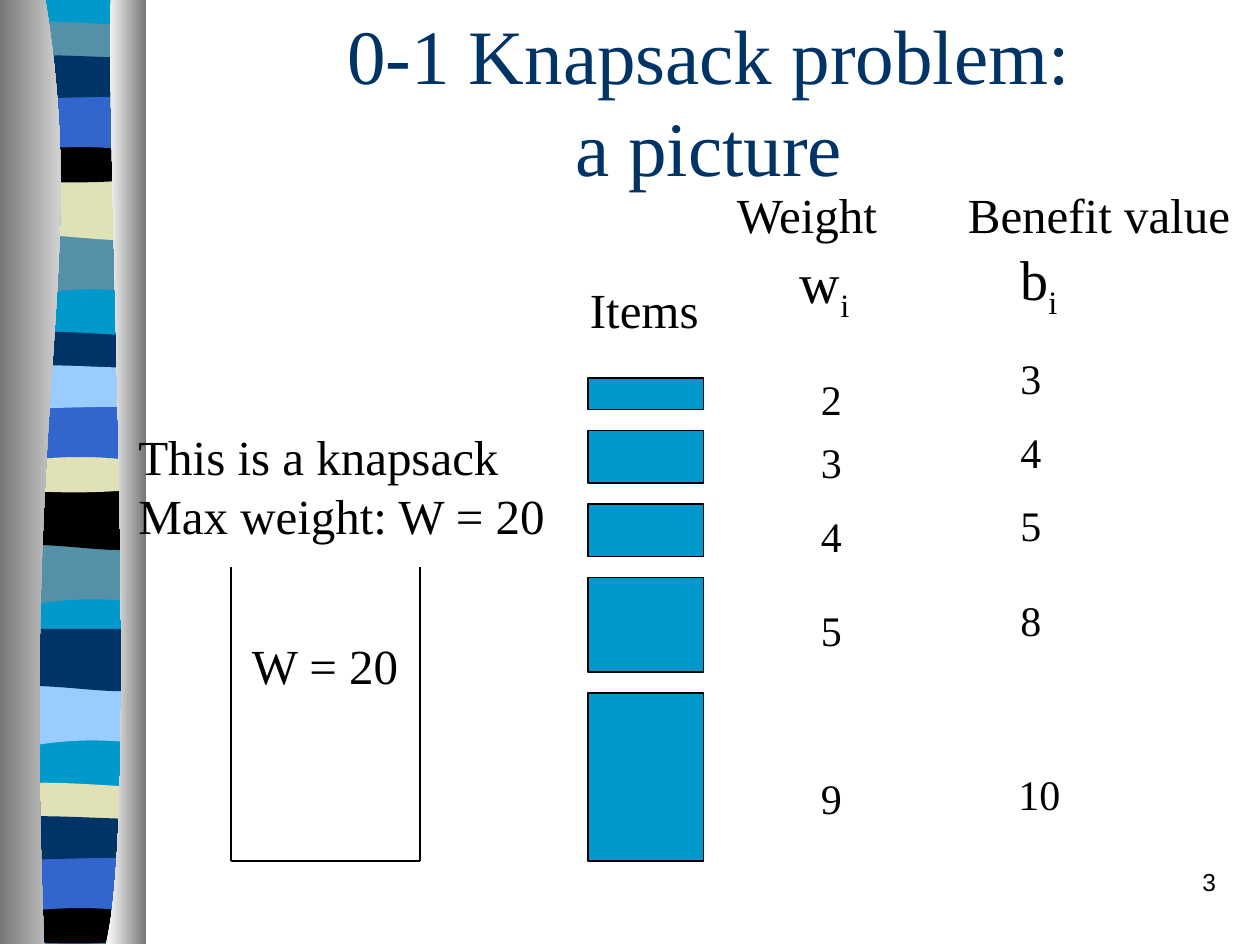
from dataclasses import dataclass

from pptx import Presentation
from pptx.dml.color import RGBColor as RGB
from pptx.enum.shapes import MSO_CONNECTOR as CONNECTOR, MSO_SHAPE as SHAPE
from pptx.enum.text import MSO_ANCHOR as ANCHOR, MSO_AUTO_SIZE as AUTO, PP_ALIGN as ALIGN
from pptx.oxml.ns import qn
from pptx.util import Inches, Pt


@dataclass(frozen=True)
class Theme:
    serif: str = "Times New Roman"
    sans: str = "Arial"
    ink: str = "000000"
    navy: str = "003366"
    cyan: str = "0099CC"
    teal: str = "5490A8"
    blue: str = "3366CC"
    sand: str = "E1E1B7"
    sky: str = "99CCFF"
    white: str = "FFFFFF"
    grey: str = "767676"
    title: int = 44
    symbol: int = 32
    label: int = 28
    value: int = 24
    number: int = 14


theme = Theme()
prs = Presentation()
prs.slide_width, prs.slide_height = Inches(10), Inches(7.5)
slide = prs.slides.add_slide(prs.slide_layouts[5])
shapes = slide.shapes
UNIT = prs.slide_width // 120  # the slide is a grid of 120 columns by 90 rows


def outline(*edges):
    """Draw a closed shape; an edge of four points (in inches) is a Bezier curve."""
    points = [(Inches(x), Inches(y)) for edge in edges for x, y in edge]
    builder = shapes.build_freeform(*points[0], scale=1.0)
    builder.add_line_segments(points[1:], close=True)
    shape = builder.convert_to_shape()
    shape.shadow.inherit = False
    shape.line.fill.background()
    nodes = list(next(shape._element.iter(qn("a:path"))))
    first = 0
    for edge in edges:
        if len(edge) == 4:
            curve = nodes[first].makeelement(qn("a:cubicBezTo"), {})
            nodes[first].addnext(curve)
            for node in nodes[first + 1:first + 4]:
                curve.append(node[0])
                node.getparent().remove(node)
        first += len(edge)
    return shape


def write(column, row, width, height, text, size, subscript="", font=theme.serif,
          align=ALIGN.LEFT, wrap=False):
    """Add a text box placed on the grid, one paragraph per line of text."""
    box = shapes.add_textbox(*(round(n * UNIT) for n in (column, row, width, height)))
    frame = box.text_frame
    frame.text = text
    frame.word_wrap = wrap
    frame.auto_size = AUTO.NONE if wrap else AUTO.SHAPE_TO_FIT_TEXT
    if subscript:
        index = frame.paragraphs[0].add_run()
        index.text = subscript
        index._r.get_or_add_rPr().set("baseline", "-25000")
    for paragraph in frame.paragraphs:
        paragraph.alignment = align
        paragraph.font.name, paragraph.font.size = font, Pt(size)
        paragraph.font.color.rgb = RGB.from_string(theme.ink)


# Ribbon: a cyan backdrop, then wavy bands that repeat down the slide
LEFT, RIGHT, BOTTOM = 0.05, 1.13, 7.49
flat = [(LEFT, 0), (RIGHT, 0)]
crest = [(LEFT, 0), (0.2, -0.06), (0.5, -0.04), (RIGHT, 0)]
ledge = [(LEFT, 0), (0.2, -0.05), (0.78, 0), (RIGHT, 0)]
ripple = [(LEFT, 0), (0.2, 0.03), (0.6, -0.01), (RIGHT, 0)]
arch = [(LEFT, 0), (0.3, -0.06), (0.9, -0.08), (RIGHT, 0)]
sag = [(LEFT, 0), (0.23, 0.05), (0.95, 0.05), (RIGHT, 0)]
sink = [(LEFT, 0), (0.38, -0.06), (0.95, 0.08), (RIGHT, 0)]
swell = [(LEFT, 0), (0.23, 0.08), (0.38, -0.08), (RIGHT, 0)]
upper_bands = [(1.85, flat, 2.32, swell), (1.41, flat, 1.88, sink)]
lower_bands = [(0.21, crest, 0.45, sag), (1.08, flat, 1.41, sag),
               (0.74, flat, 1.22, arch), (0.46, ledge, 0.77, ripple)]
repeats = [
    (0, upper_bands + lower_bands,
     [theme.teal, theme.sand, theme.teal, theme.ink, theme.blue, theme.navy]),
    (2.46, upper_bands + lower_bands,
     [theme.teal, theme.ink, theme.navy, theme.sand, theme.blue, theme.sky]),
    (3.58, upper_bands, [theme.sky, theme.navy]),
    (6.04, lower_bands, [theme.sand, theme.ink, theme.blue, theme.navy]),
]
bands = [(0, flat, BOTTOM, flat, theme.cyan)]
for shift, group, colors in repeats:
    bands += [(top + shift, upper, end + shift, lower, color)
              for (top, upper, end, lower), color in zip(group, colors)]
for top, upper, end, lower, color in bands:
    band = outline([(x, top + y) for x, y in upper],
                   [(x, end + y) for x, y in reversed(lower)])
    band.fill.solid()
    band.fill.fore_color.rgb = RGB.from_string(color)

# Shaded curtains on both sides of the ribbon
left_edge = [(0.36, 0), (0.71, 2.16), (0.17, 2.96), (0.35, BOTTOM)]
right_edge = [(0.88, 0), (0.84, 1.25), (1.11, 6.46), (0.84, BOTTOM)]
for edge, side, start, end in [(left_edge, 0, theme.grey, theme.white),
                               (right_edge, 1.16, theme.white, theme.grey)]:
    curtain = outline(edge, [(side, BOTTOM), (side, 0)])
    curtain.fill.gradient()
    curtain.fill.gradient_angle = 0
    for stop, color, position in zip(curtain.fill.gradient_stops, (start, end), (0, 1)):
        stop.color.rgb = RGB.from_string(color)
        stop.position = position

# Title
title = shapes.title
title.left, title.top, title.width, title.height = (n * UNIT for n in (15, 2, 105, 15))
title.text_frame.text = "0-1 Knapsack problem:\va picture"
title.text_frame.vertical_anchor = ANCHOR.MIDDLE
title.text_frame.auto_size = AUTO.NONE
heading = title.text_frame.paragraphs[0]
heading.alignment = ALIGN.CENTER
heading.font.name, heading.font.size = theme.serif, Pt(theme.title)
heading.font.color.rgb = RGB.from_string(theme.navy)

# Knapsack: an open box
corners = [(22, 54), (22, 82), (40, 82), (40, 54)]
for start, end in zip(corners, corners[1:]):
    wall = shapes.add_connector(CONNECTOR.STRAIGHT, *(n * UNIT for n in start + end))
    wall.line.color.rgb = RGB.from_string(theme.ink)
    wall.line.width = Pt(0.75)
    properties = wall._element.spPr
    properties.append(properties.makeelement(qn("a:effectLst"), {}))
write(22.8, 59.9, 16.5, 6.8, "W = 20", theme.label)
write(12, 40, 41.4, 12.5, "This is a knapsack\nMax weight: W = 20", theme.label)

# Column headings
write(55, 26, 12.9, 6.8, "Items", theme.label)
write(69, 17, 16.2, 6.8, "Weight", theme.label)
write(91, 17, 27.5, 6.8, "Benefit value", theme.label)
write(75, 23, 7.2, 8.5, "w", theme.symbol, subscript="i", wrap=True)
write(96, 22.7, 7.2, 8.5, "b", theme.symbol, subscript="i", wrap=True)

# Items: block height, weight and its row, benefit with its column and row
GAP = 2
block_row = 36
for height, weight, weight_row, benefit, benefit_column, benefit_row in [
        (3, "2", 35, "3", 96, 33), (5, "3", 41, "4", 96, 40), (5, "4", 48, "5", 96, 47),
        (9, "5", 57, "8", 96, 56), (16, "9", 73, "10", 95.8, 72.6)]:
    block = shapes.add_shape(SHAPE.RECTANGLE, *(n * UNIT for n in (56, block_row, 11, height)))
    block.shadow.inherit = False
    block.fill.solid()
    block.fill.fore_color.rgb = RGB.from_string(theme.cyan)
    block.line.color.rgb = RGB.from_string(theme.ink)
    block.line.width = Pt(0.75)
    write(77, weight_row, 4.4, 6, weight, theme.value)
    write(benefit_column, benefit_row, 2.4 + 2 * len(benefit), 6, benefit, theme.value)
    block_row += height + GAP

# Slide number
write(92, 82, 25, 6, "3", theme.number, font=theme.sans, align=ALIGN.RIGHT, wrap=True)

prs.save("out.pptx")
